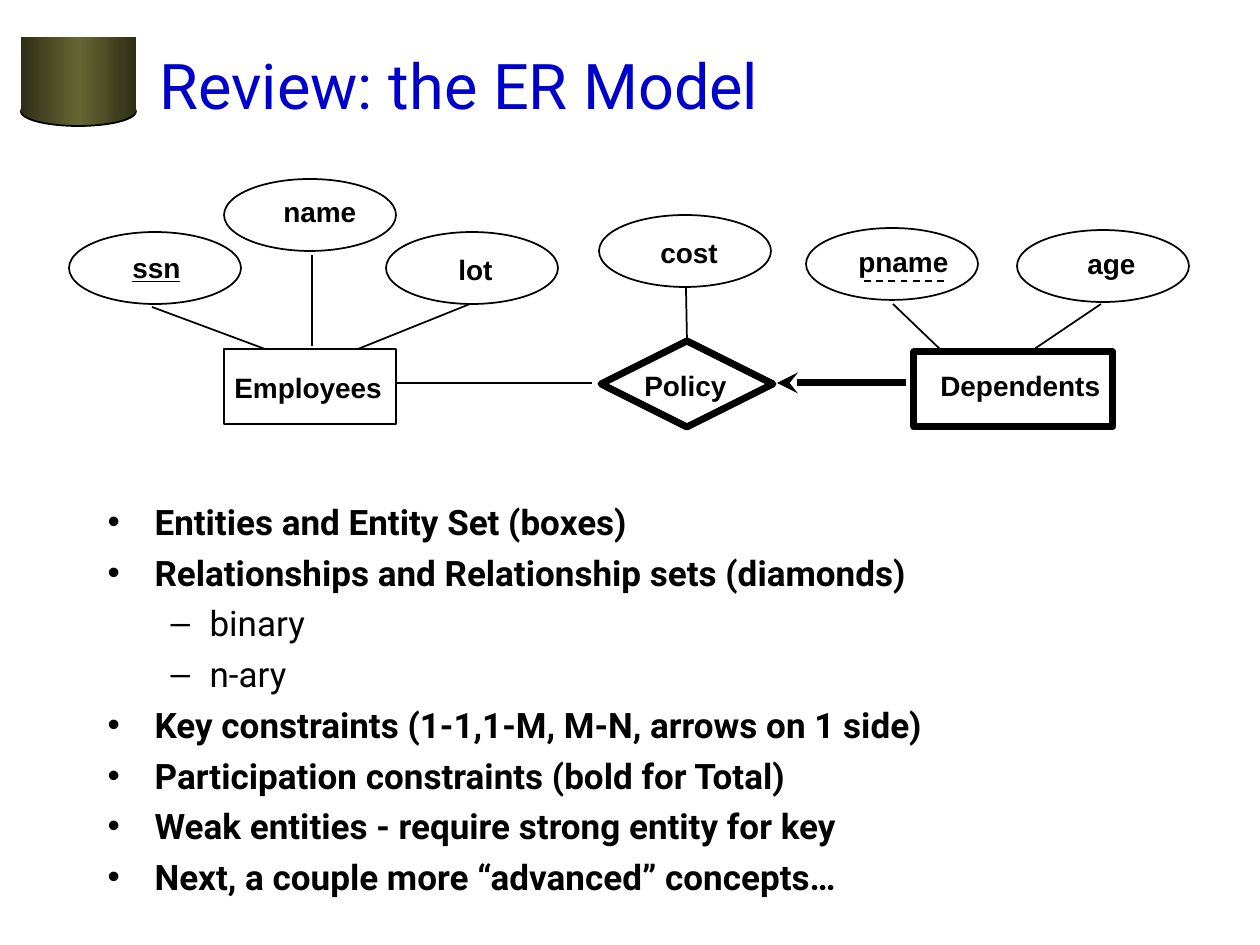
"""Build the ER model review slide."""
import copy

import pptx
import pptx.dml.color
import pptx.enum.dml
import pptx.enum.shapes
import pptx.enum.text
import pptx.oxml.ns
import pptx.util
from lxml import etree

RGBColor = pptx.dml.color.RGBColor
MSO_SHAPE = pptx.enum.shapes.MSO_SHAPE
MSO_AUTO_SIZE = pptx.enum.text.MSO_AUTO_SIZE
BLACK = RGBColor(0x00, 0x00, 0x00)
BLUE = RGBColor(0x00, 0x00, 0xCC)
OLIVE = RGBColor(0x66, 0x66, 0x33)
DARK_OLIVE = RGBColor(0x2F, 0x2F, 0x17)
PX_PER_INCH = 126
OVAL_SIZE = (172, 72)

OVALS = {
    "cost": (599, 215), "age": (1017, 230), "ssn": (69, 232),
    "lot": (386, 232), "pname": (806, 228), "name": (224, 179),
}
BOXES = {
    "Employees": (MSO_SHAPE.RECTANGLE, (224, 349, 172, 75), 1),
    "Policy": (MSO_SHAPE.DIAMOND, (601, 341, 172, 86), 4),
    "Dependents": (MSO_SHAPE.RECTANGLE, (914, 352, 199, 75), 4),
}
LABELS = {
    "lot": (446, 246, 64), "name": (271, 188, 103), "age": (1075, 240, 78),
    "pname": (846, 238, 120), "Dependents": (928, 362, 190),
    "Employees": (222, 364, 178), "ssn": (120, 244, 78),
    "Policy": (632, 362, 113), "cost": (648, 229, 88),
}
LINES = [
    (312, 255, 312, 346), (152, 307, 265, 349), (470, 304, 358, 349),
    (893, 304, 943, 352), (1101, 304, 1030, 352), (592, 383, 396, 383),
]
BULLETS = [
    (0, "Entities and Entity Set (boxes)"),
    (0, "Relationships and Relationship sets (diamonds)"),
    (1, "binary"),
    (1, "n-ary"),
    (0, "Key constraints (1-1,1-M, M-N, arrows on 1 side)"),
    (0, "Participation constraints (bold for Total)"),
    (0, "Weak entities - require strong entity for key"),
    (0, "Next, a couple more “advanced” concepts…"),
]
INDENTS = [(47, -47), (102, -39)]


def px(n):
    """Turn pixels into EMU."""
    return pptx.util.Emu(round(n * 914400 / PX_PER_INCH))


def place(s, box):
    """Move and size a shape."""
    s.left, s.top, s.width, s.height = map(px, box)


def style_run(r, font, size, color, bold=False):
    """Format one run."""
    r.font.name = font
    r.font.size = pptx.util.Pt(size)
    r.font.color.rgb = color
    r.font.bold = bold


def set_line(s, width):
    """Give a shape or connector a black line."""
    s.line.color.rgb = BLACK
    s.line.width = pptx.util.Pt(width)


def add_outline(slide, kind, box, width):
    """Add an unfilled preset shape."""
    sp = slide.shapes.add_shape(kind, *map(px, box))
    sp.shadow.inherit = False
    sp.fill.background()
    set_line(sp, width)
    return sp


def add_line(slide, ends, width=1):
    """Add a straight connector without a shadow."""
    line = slide.shapes.add_connector(
        pptx.enum.shapes.MSO_CONNECTOR.STRAIGHT, *map(px, ends))
    set_line(line, width)
    etree.SubElement(line._element.spPr, pptx.oxml.ns.qn("a:effectLst"))
    return line


def add_arrowhead(line):
    """Put a stealth arrowhead at the start of a line."""
    head = etree.SubElement(line.line._get_or_add_ln(),
                            pptx.oxml.ns.qn("a:headEnd"))
    head.set("type", "stealth")


def add_label(slide, text, left, top, width):
    """Add a bold diagram label that stays on one line."""
    box = slide.shapes.add_textbox(*map(px, (left, top, width, 45)))
    tf = box.text_frame
    tf.word_wrap = False
    tf.text = text
    r = tf.paragraphs[0].runs[0]
    style_run(r, "Arial", 16, BLACK, True)
    return r


def add_can_part(slide, kind, box):
    """Add one half of the can with a three-stop gradient."""
    sp = slide.shapes.add_shape(kind, *map(px, box))
    sp.shadow.inherit = False
    sp.fill.gradient()
    sp.fill.gradient_angle = 0
    stops = sp._element.spPr.find(".//" + pptx.oxml.ns.qn("a:gsLst"))
    stops.insert(1, copy.deepcopy(stops[0]))
    colors = (DARK_OLIVE, OLIVE, DARK_OLIVE)
    for i, (stop, color) in enumerate(zip(sp.fill.gradient_stops, colors)):
        stop.position = i / 2
        stop.color.rgb = color
    return sp


def add_can(slide):
    """Draw the can beside the title."""
    base = add_can_part(slide, MSO_SHAPE.OVAL, (21, 97, 115, 29))
    set_line(base, 1)
    body = add_can_part(slide, MSO_SHAPE.RECTANGLE, (21, 37, 115, 75))
    body.line.fill.background()


def fill_title(s, text):
    """Write the slide title."""
    place(s, (147, 32, 1071, 105))
    tf = s.text_frame
    tf.text = text
    tf.auto_size = MSO_AUTO_SIZE.NONE
    tf.vertical_anchor = pptx.enum.text.MSO_ANCHOR.MIDDLE
    p = tf.paragraphs[0]
    p.alignment = pptx.enum.text.PP_ALIGN.LEFT
    style_run(p.runs[0], "Roboto", 36, BLUE)


def fill_body(s):
    """Write the bullet list."""
    place(s, (95, 494, 1071, 420))
    tf = s.text_frame
    tf.text = "\n".join(text for _, text in BULLETS)
    tf.auto_size = MSO_AUTO_SIZE.NONE
    for i, (p, (level, _)) in enumerate(zip(tf.paragraphs, BULLETS)):
        p.level = level
        margin, indent = INDENTS[level]
        pPr = p._p.get_or_add_pPr()
        pPr.set("marL", str(px(margin)))
        pPr.set("indent", str(px(indent)))
        p.space_before = pptx.util.Pt(5 if i else 0)
        style_run(p.runs[0], "Roboto", 20, BLACK, level == 0)


def add_diagram(slide):
    """Draw the entities, attributes and relationship."""
    for corner in OVALS.values():
        add_outline(slide, MSO_SHAPE.OVAL, corner + OVAL_SIZE, 1)
    boxes = {name: add_outline(slide, *args) for name, args in BOXES.items()}
    runs = {text: add_label(slide, text, *at) for text, at in LABELS.items()}
    runs["ssn"].font.underline = True
    for ends in LINES:
        add_line(slide, ends)
    add_line(slide, (686, 287, 687, 341)).end_connect(boxes["Policy"], 0)
    partial_key = add_line(slide, (944, 281, 860, 281))
    partial_key.line.dash_style = pptx.enum.dml.MSO_LINE.DASH
    add_arrowhead(add_line(slide, (777, 383, 906, 383), 4))


def main():
    """Build and save the slide."""
    prs = pptx.Presentation()
    prs.slide_width, prs.slide_height = px(1260), px(945)
    slide = prs.slides.add_slide(prs.slide_layouts[1])
    add_can(slide)
    fill_title(slide.shapes.title, "Review: the ER Model")
    fill_body(slide.placeholders[1])
    add_diagram(slide)
    prs.save("out.pptx")


if __name__ == "__main__":
    main()
